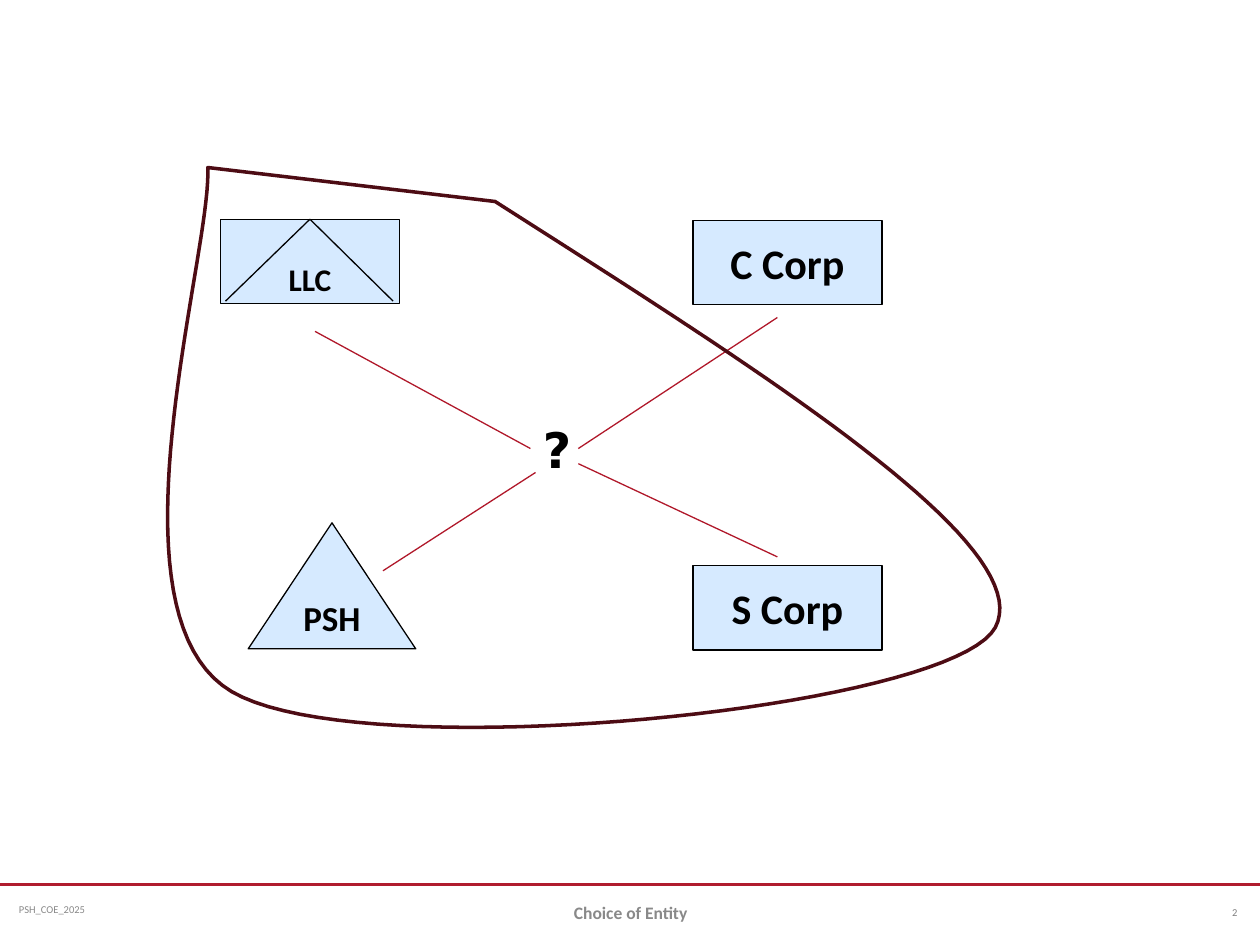
from lxml.etree import SubElement
from pptx import Presentation
from pptx.dml.color import RGBColor
from pptx.enum.shapes import MSO_CONNECTOR, MSO_SHAPE as SHAPE
from pptx.enum.text import MSO_ANCHOR as ANCHOR, MSO_AUTO_SIZE, PP_ALIGN as ALIGN
from pptx.oxml.ns import qn
from pptx.util import Inches, Pt

COLORS = {"black": "000000", "box": "D6EAFF", "link": "B0182A", "rule": "B01C2E",
          "loop": "4D0C14", "footer": "898989", "number": "808080"}

# text, shape, (left, top, width, height), size, anchor
ENTITIES = [
    ("C Corp", SHAPE.RECTANGLE, (5.5, 1.75, 1.5, 0.67), 24, ANCHOR.MIDDLE),
    ("LLC", SHAPE.RECTANGLE, (1.75, 1.74, 1.42, 0.67), 18, ANCHOR.BOTTOM),
    ("PSH", SHAPE.ISOSCELES_TRIANGLE, (1.97, 4.15, 1.33, 1), 20, ANCHOR.MIDDLE),
    ("S Corp", SHAPE.RECTANGLE, (5.5, 4.49, 1.5, 0.67), 24, ANCHOR.MIDDLE),
]
# start, end, colour, width
LINES = [
    ((0, 7.02), (10, 7.02), "rule", 1.25),
    ((2.46, 1.74), (1.79, 2.39), "black", 0.75),
    ((2.46, 1.74), (3.12, 2.39), "black", 0.75),
    ((6.17, 2.52), (4.59, 3.56), "link", 0.75),
    ((2.5, 2.63), (4.21, 3.56), "link", 0.75),
    ((3.04, 4.53), (4.25, 3.75), "link", 0.75),
    ((6.17, 4.42), (4.59, 3.68), "link", 0.75),
]
# text, (left, top, width, height), size, colour, bold, alignment
FOOTERS = [
    ("PSH_COE_2025", (0.08, 7.02, 2.58, 0.4), 6, "footer", False, ALIGN.LEFT),
    ("Choice of Entity", (3.42, 7.08, 3.17, 0.32), 10, "footer", True, ALIGN.CENTER),
    ("2", (9.42, 7.04, 0.5, 0.4), 6, "number", False, ALIGN.RIGHT),
]
LOOP_START = (3.93, 1.6)
LOOP_CORNER = (1.65, 1.33)
LOOP_CURVES = [  # two control points and an end point
    ((1.68, 2.03), (0.8, 4.88), (1.84, 5.49)),
    ((2.88, 6.1), (7.55, 5.63), (7.9, 4.98)),
    ((8.24, 4.33), (6.08, 2.97), LOOP_START),
]
CURVE_STEPS = 40


def rgb(name):
    return RGBColor.from_string(COLORS[name])


def set_line(s, color, width):
    s.line.color.rgb = rgb(color)
    s.line.width = Pt(width)


def set_text(s, text, size, color="black", bold=True, align=ALIGN.CENTER,
             anchor=ANCHOR.MIDDLE, wrap=False, font="Calibri"):
    tf = s.text_frame
    tf.word_wrap = wrap
    tf.vertical_anchor = anchor
    p = tf.paragraphs[0]
    p.text = text
    p.alignment = align
    p.font.name, p.font.size, p.font.bold = font, Pt(size), bold
    p.font.color.rgb = rgb(color)
    return tf


def bezier(points, t):
    weights = ((1 - t) ** 3, 3 * t * (1 - t) ** 2, 3 * t * t * (1 - t), t ** 3)
    return tuple(sum(w * pt[axis] for w, pt in zip(weights, points)) for axis in (0, 1))


prs = Presentation()
prs.slide_width, prs.slide_height = Inches(10), Inches(7.5)
shapes = prs.slides.add_slide(prs.slide_layouts[6]).shapes

for text, kind, box, size, anchor in ENTITIES:
    s = shapes.add_shape(kind, *map(Inches, box))
    s.shadow.inherit = False
    s.fill.solid()
    s.fill.fore_color.rgb = rgb("box")
    set_line(s, "black", 0.75)
    set_text(s, text, size, anchor=anchor)

for start, end, color, width in LINES:
    s = shapes.add_connector(MSO_CONNECTOR.STRAIGHT, *map(Inches, start + end))
    set_line(s, color, width)
    SubElement(s._element.spPr, qn("a:effectLst"))

question = shapes.add_textbox(*map(Inches, (4.21, 3.28, 0.38, 0.57)))
tf = set_text(question, "?", 28, anchor=ANCHOR.TOP, font="DejaVu Sans")
tf.auto_size = MSO_AUTO_SIZE.SHAPE_TO_FIT_TEXT

for text, box, size, color, bold, align in FOOTERS:
    s = shapes.add_textbox(*map(Inches, box))
    tf = set_text(s, text, size, color, bold, align, wrap=True)
    tf.margin_left = tf.margin_right = Inches(0.07 if align == ALIGN.LEFT else 0.1)

outline = [LOOP_CORNER]
for curve in LOOP_CURVES:
    points = (outline[-1], *curve)
    outline += [bezier(points, i / CURVE_STEPS) for i in range(1, CURVE_STEPS + 1)]
builder = shapes.build_freeform(*map(Inches, LOOP_START), scale=1.0)
builder.add_line_segments([tuple(map(Inches, pt)) for pt in outline], close=True)
loop = builder.convert_to_shape()
loop.shadow.inherit = False
loop.fill.background()
set_line(loop, "loop", 2)

prs.save("out.pptx")
